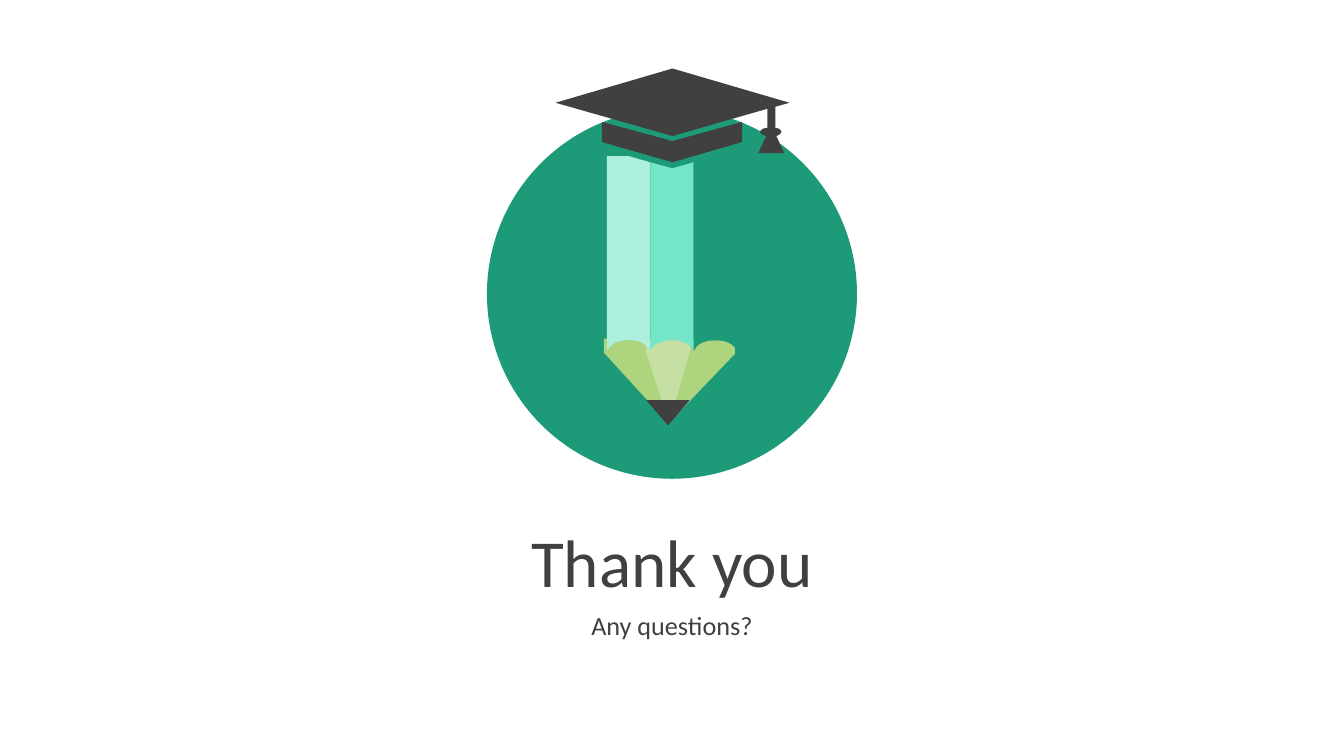
from dataclasses import dataclass

from pptx import Presentation
from pptx.dml.color import RGBColor
from pptx.enum.shapes import MSO_SHAPE
from pptx.enum.text import MSO_ANCHOR, PP_ALIGN
from pptx.util import Inches, Pt

COLORS = {
    "green": "1D9A78",
    "charcoal": "404040",
    "wood": "AED47D",
    "light_wood": "C5E0A2",
    "pale_mint": "ACEFDD",
    "mint": "75E5C7",
}
SLIDE_WIDTH, SLIDE_HEIGHT = 13.33, 7.5
PANEL_WIDTH = 0.43
CURVE_STEPS = 10

Point = tuple[float, float]


@dataclass
class Outline:
    color: str
    contours: list[list[Point]]


@dataclass
class Preset:
    kind: MSO_SHAPE
    color: str
    box: tuple[float, float, float, float]
    rotation: float = 0


@dataclass
class Line:
    text: str
    top: float
    height: float
    size: float


def curve(start: Point, first: Point, second: Point, end: Point) -> list[Point]:
    points = []
    for step in range(CURVE_STEPS + 1):
        t = step / CURVE_STEPS
        weights = ((1 - t) ** 3, 3 * t * (1 - t) ** 2, 3 * t**2 * (1 - t), t**3)
        controls = (start, first, second, end)
        points.append((
            sum(w * x for w, (x, _) in zip(weights, controls)),
            sum(w * y for w, (_, y) in zip(weights, controls)),
        ))
    return points


def pencil_panel(index: int, color: str, top_edge: list[Point]) -> Outline:
    left = 6.02 + index * PANEL_WIDTH
    right, middle = left + PANEL_WIDTH, left + 0.22
    foot, crest = 3.47, 3.375
    scallop = [
        *curve((right - 0.01, foot), (right - 0.03, 3.415),
               (middle + 0.1, crest), (middle, crest)),
        *curve((middle, crest), (middle - 0.11, crest),
               (left + 0.03, 3.415), (left + 0.01, foot)),
    ]
    return Outline(color, [[*top_edge, (right, foot), *scallop, (left, foot)]])


def paint(shape, color: str) -> None:
    shape.shadow.inherit = False
    shape.fill.solid()
    shape.fill.fore_color.rgb = RGBColor.from_string(COLORS[color])
    shape.line.fill.background()


def draw_outline(slide, outline: Outline) -> None:
    contours = [[(Inches(x), Inches(y)) for x, y in contour]
                for contour in outline.contours]
    first, *others = contours
    builder = slide.shapes.build_freeform(*first[0])
    builder.add_line_segments(first[1:], close=True)
    for contour in others:
        builder.move_to(*contour[0])
        builder.add_line_segments(contour[1:], close=True)
    paint(builder.convert_to_shape(), outline.color)


def draw_preset(slide, preset: Preset) -> None:
    shape = slide.shapes.add_shape(preset.kind, *map(Inches, preset.box))
    shape.rotation = preset.rotation
    paint(shape, preset.color)


def draw_line(slide, line: Line) -> None:
    box = slide.shapes.add_textbox(
        0, Inches(line.top), Inches(SLIDE_WIDTH), Inches(line.height))
    frame = box.text_frame
    frame.word_wrap = True
    frame.vertical_anchor = MSO_ANCHOR.MIDDLE
    paragraph = frame.paragraphs[0]
    paragraph.text = line.text
    paragraph.alignment = PP_ALIGN.CENTER
    paragraph.line_spacing = 0.9
    paragraph.space_before = Pt(10)
    paragraph.font.name = "Calibri"
    paragraph.font.size = Pt(line.size)
    paragraph.font.color.rgb = RGBColor.from_string(COLORS["charcoal"])


CIRCLE = Preset(MSO_SHAPE.OVAL, "green", (4.83, 1.08, 3.67, 3.67))
PENCIL_TIP = Preset(
    MSO_SHAPE.ISOSCELES_TRIANGLE, "charcoal", (6.41, 3.97, 0.43, 0.25), 180)

CAP_BAND = [(5.97, 1.21), (6.67, 1.4), (7.36, 1.21),
            (7.36, 1.41), (6.67, 1.61), (5.97, 1.41)]
CAP_BOARD_AND_TASSEL = [
    (6.67, 0.68), (7.83, 1.02), (7.69, 1.06),
    *curve((7.69, 1.27), (7.72, 1.27), (7.75, 1.29), (7.75, 1.31)),
    *curve((7.75, 1.31), (7.75, 1.32), (7.73, 1.34), (7.7, 1.35)),
    (7.78, 1.52), (7.52, 1.52),
    *curve((7.6, 1.35), (7.56, 1.34), (7.54, 1.32), (7.54, 1.31)),
    *curve((7.54, 1.31), (7.54, 1.29), (7.57, 1.27), (7.61, 1.27)),
    (7.61, 1.08), (6.67, 1.35), (5.51, 1.02),
]

PENCIL_AND_CAP = [
    Outline("wood", [[(5.99, 3.36), (7.29, 3.38), (7.29, 3.51),
                      (6.63, 4.2), (5.99, 3.5)]]),
    Outline("light_wood", [[(6.41, 3.36), (6.85, 3.36), (6.85, 3.46),
                            (6.64, 4.2), (6.41, 3.5)]]),
    pencil_panel(0, "pale_mint", [(6.02, 1.55), (6.24, 1.55), (6.45, 1.61)]),
    pencil_panel(1, "mint", [(6.45, 1.61), (6.67, 1.67), (6.88, 1.61)]),
    pencil_panel(2, "green", [(6.88, 1.61), (7.1, 1.55), (7.31, 1.55)]),
    PENCIL_TIP,
    Outline("charcoal", [CAP_BAND, CAP_BOARD_AND_TASSEL]),
]

CLOSING_LINES = [
    Line("Thank you", 5.19, 0.84, 48),
    Line("Any questions?", 6.01, 0.42, 18.7),
]


def main() -> None:
    presentation = Presentation()
    presentation.slide_width = Inches(SLIDE_WIDTH)
    presentation.slide_height = Inches(SLIDE_HEIGHT)
    slide = presentation.slides.add_slide(presentation.slide_layouts[6])

    draw_preset(slide, CIRCLE)
    for line in CLOSING_LINES:
        draw_line(slide, line)
    for part in PENCIL_AND_CAP:
        if isinstance(part, Preset):
            draw_preset(slide, part)
        else:
            draw_outline(slide, part)

    presentation.save("out.pptx")


if __name__ == "__main__":
    main()
